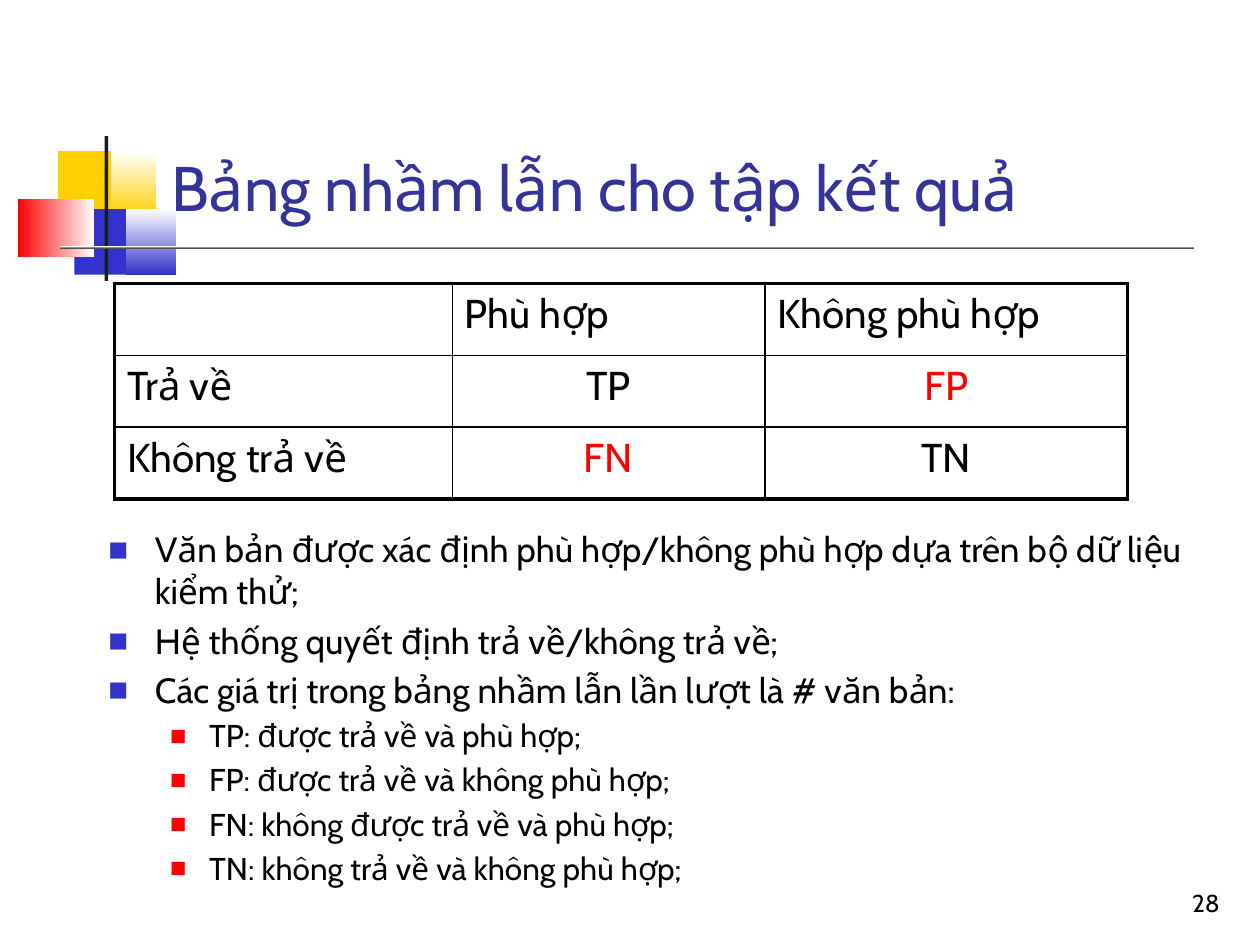
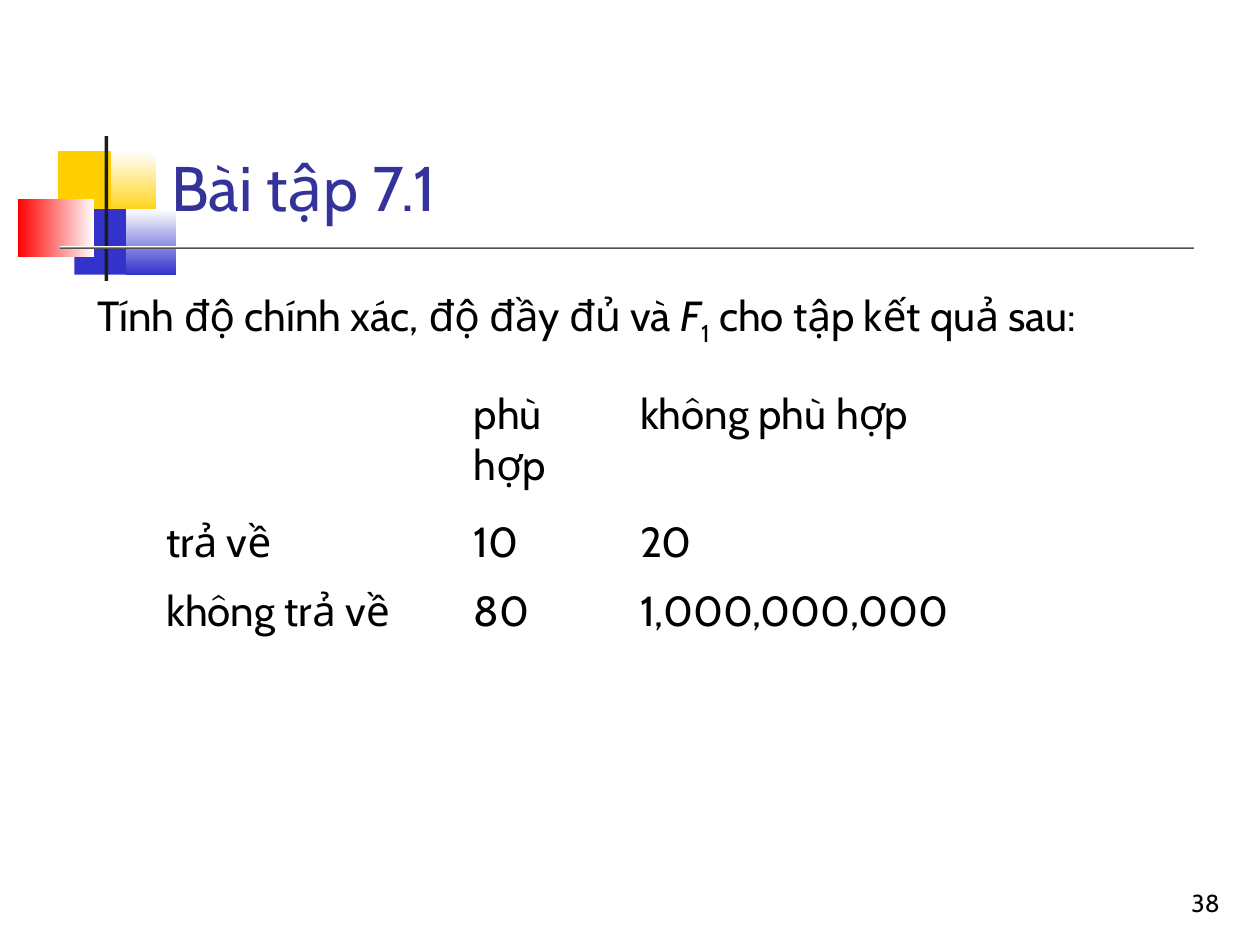
from dataclasses import dataclass
from typing import Optional

from lxml.etree import SubElement
from pptx import Presentation
from pptx.dml.color import RGBColor
from pptx.enum.shapes import MSO_SHAPE
from pptx.enum.text import MSO_ANCHOR, MSO_AUTO_SIZE, PP_ALIGN
from pptx.oxml.ns import qn
from pptx.util import Emu, Inches, Pt

# Shared look: a grid of 100 columns by 75 rows, each a tenth of an inch
FONT = "Cabin"
BLACK, WHITE, INK = "000000", "FFFFFF", "1C1C1C"
YELLOW, BLUE, RED, TITLE_BLUE = "FFCF01", "3333CC", "FF0000", "333399"
COLUMNS, ROWS = 100, 75
THICK, THIN = 2.21, 0.96


def grid(count: float) -> Emu:
    return Inches(round(count / 10, 3))


def color(value: str) -> RGBColor:
    return RGBColor.from_string(value)


@dataclass(frozen=True)
class Area:
    column: float
    row: float
    columns: float
    rows: float

    def box(self) -> tuple[Emu, Emu, Emu, Emu]:
        return grid(self.column), grid(self.row), grid(self.columns), grid(self.rows)


@dataclass(frozen=True)
class Block:
    area: Area
    start: str
    end: Optional[str] = None
    angle: int = 90


@dataclass(frozen=True)
class BulletLevel:
    size: int
    margin: float
    hanging: float
    color: str
    percent: int
    space: float


@dataclass(frozen=True)
class TableLook:
    area: Area
    columns: tuple[float, ...]
    rows: tuple[float, ...]
    size: int
    ruled: bool = False
    centered: bool = False


TITLE_AREA = Area(12.6, 2.3, 85.2, 16)
NUMBER_AREA = Area(77, 68.3, 20.8, 5)
BLOCKS = (
    Block(Area(4.6, 12, 4.8, 5.2), YELLOW),
    Block(Area(8.8, 12, 3.6, 5.2), YELLOW, WHITE),
    Block(Area(5.9, 16.6, 4.6, 5.2), BLUE),
    Block(Area(10, 16.6, 4, 5.2), BLUE, WHITE),
    Block(Area(1.4, 15.8, 6.1, 4.6), WHITE, RED, 180),
    Block(Area(8.3, 10.8, 0.3, 11.5), INK),
    Block(Area(4.8, 19.5, 90, 0.3), INK, WHITE),
)
LEVELS = (
    BulletLevel(20, 3.8, 3.7, BLUE, 60, 4),
    BulletLevel(18, 8.1, 3.1, RED, 55, 3.6),
)


def style(font, size: float, value: str = BLACK) -> None:
    font.name, font.size = FONT, Pt(size)
    font.color.rgb = color(value)


def place(shape, area: Area) -> None:
    shape.left, shape.top, shape.width, shape.height = area.box()


def draw_blocks(page, layout) -> None:
    """Draw the decoration and move it behind everything, onto the layout."""
    for index, block in enumerate(BLOCKS):
        shape = page.shapes.add_shape(MSO_SHAPE.RECTANGLE, *block.area.box())
        shape.shadow.inherit = False
        shape.line.fill.background()
        if block.end:
            shape.fill.gradient()
            shape.fill.gradient_angle = block.angle
            for stop, value in zip(shape.fill.gradient_stops, (block.start, block.end)):
                stop.color.rgb = color(value)
        else:
            shape.fill.solid()
            shape.fill.fore_color.rgb = color(block.start)
        shape.element.nvSpPr.cNvPr.set("id", str(100 + index))
        layout.shapes.element.insert(2 + index, shape.element)


def add_page(deck, layout, title: str, number: int):
    page = deck.slides.add_slide(layout)
    heading = page.shapes.title
    place(heading, TITLE_AREA)
    frame = heading.text_frame
    frame.text = title
    frame.auto_size = MSO_AUTO_SIZE.NONE
    frame.vertical_anchor = MSO_ANCHOR.BOTTOM
    frame.paragraphs[0].alignment = PP_ALIGN.LEFT
    style(frame.paragraphs[0].font, 36, TITLE_BLUE)

    frame = page.shapes.add_textbox(*NUMBER_AREA.box()).text_frame
    frame.word_wrap = True
    frame.vertical_anchor = MSO_ANCHOR.BOTTOM
    frame.text = str(number)
    frame.paragraphs[0].alignment = PP_ALIGN.RIGHT
    style(frame.paragraphs[0].font, 14)
    return page


def body_frame(page, area: Area):
    body = page.placeholders[1]
    place(body, area)
    body.text_frame.auto_size = MSO_AUTO_SIZE.NONE
    return body.text_frame


def set_bullet(para, level: Optional[BulletLevel]) -> None:
    properties = para._p.get_or_add_pPr()
    properties.set("marL", str(grid(level.margin) if level else 0))
    properties.set("indent", str(-grid(level.hanging) if level else 0))
    if level is None:
        SubElement(properties, qn("a:buNone"))
        return
    SubElement(SubElement(properties, qn("a:buClr")), qn("a:srgbClr"), val=level.color)
    SubElement(properties, qn("a:buSzPct"), val=str(level.percent * 1000))
    SubElement(properties, qn("a:buFont"), typeface=FONT)
    SubElement(properties, qn("a:buChar"), char="■")


def add_bullets(frame, items: list[tuple[int, str]]) -> None:
    for index, (depth, text) in enumerate(items):
        para = frame.add_paragraph() if index else frame.paragraphs[0]
        level = LEVELS[depth]
        para.text, para.level = text, depth
        set_bullet(para, level)
        para.space_before = Pt(level.space if index else 0)
        style(para.font, level.size)


def rule_cell(cell, widths: dict[str, float]) -> None:
    properties = cell._tc.get_or_add_tcPr()
    for side, width in widths.items():
        line = SubElement(properties, qn(f"a:ln{side}"), w=str(Pt(width)))
        SubElement(SubElement(line, qn("a:solidFill")), qn("a:srgbClr"), val=BLACK)


def add_grid_table(page, look: TableLook, texts: list[list[str]], red: tuple[str, ...] = ()) -> None:
    last_row, last_column = len(look.rows) - 1, len(look.columns) - 1
    table = page.shapes.add_table(last_row + 1, last_column + 1, *look.area.box()).table
    table.first_row = table.horz_banding = False
    for column, width in zip(table.columns, look.columns):
        column.width = grid(width)
    for row, height in zip(table.rows, look.rows):
        row.height = grid(height)
    for r, line in enumerate(texts):
        for c, text in enumerate(line):
            cell = table.cell(r, c)
            if look.ruled:
                outer = {"L": c == 0, "R": c == last_column, "T": r == 0, "B": r == last_row}
                rule_cell(cell, {side: THICK if edge else THIN for side, edge in outer.items()})
            cell.fill.background()
            para = cell.text_frame.paragraphs[0]
            if text:
                para.text = text
            if look.centered and r and c:
                para.alignment = PP_ALIGN.CENTER
            style(para.font, look.size, RED if text in red else BLACK)


def build_confusion_page(page) -> None:
    add_bullets(body_frame(page, Area(7.5, 41.4, 88.9, 29.9)), [
        (0, "Văn bản được xác định phù hợp/không phù hợp dựa trên bộ dữ liệu kiểm thử;"),
        (0, "Hệ thống quyết định trả về/không trả về;"),
        (0, "Các giá trị trong bảng nhầm lẫn lần lượt là # văn bản:"),
        (1, "TP: được trả về và phù hợp;"),
        (1, "FP: được trả về và không phù hợp;"),
        (1, "FN: không được trả về và phù hợp;"),
        (1, "TN: không trả về và không phù hợp;"),
    ])
    look = TableLook(Area(9.1, 22.5, 80.4, 17.1), (26.8, 24.8, 28.8), (5.7,) * 3, 23,
                     ruled=True, centered=True)
    add_grid_table(page, look, [
        ["", "Phù hợp", "Không phù hợp"],
        ["Trả về", "TP", "FP"],
        ["Không trả về", "FN", "TN"],
    ], red=("FP", "FN"))


def build_exercise_page(page) -> None:
    para = body_frame(page, Area(6.7, 22.5, 91.2, 41.9)).paragraphs[0]
    set_bullet(para, None)
    para.space_before = Pt(0)
    style(para.font, 24)
    for text in ("Tính độ chính xác, độ đầy đủ và ", "F", "1", " cho tập kết quả sau:"):
        span = para.add_run()
        span.text = text
        if text == "F":
            span.font.italic = True
        elif text == "1":
            span._r.get_or_add_rPr().set("baseline", "-25000")

    look = TableLook(Area(12.2, 30.4, 71.3, 21.1), (24.4, 13.2, 33.7), (10.1, 5.5, 5.5), 24)
    add_grid_table(page, look, [
        ["", "phù hợp", "không phù hợp"],
        ["trả về", "10", "20"],
        ["không trả về", "80", "1,000,000,000"],
    ])


def main() -> None:
    deck = Presentation()
    deck.slide_width, deck.slide_height = grid(COLUMNS), grid(ROWS)
    layout = deck.slide_layouts[1]

    # Confusion table
    page = add_page(deck, layout, "Bảng nhầm lẫn cho tập kết quả", 28)
    draw_blocks(page, layout)
    build_confusion_page(page)

    # Exercise
    build_exercise_page(add_page(deck, layout, "Bài tập 7.1", 38))
    deck.save("out.pptx")


if __name__ == "__main__":
    main()
